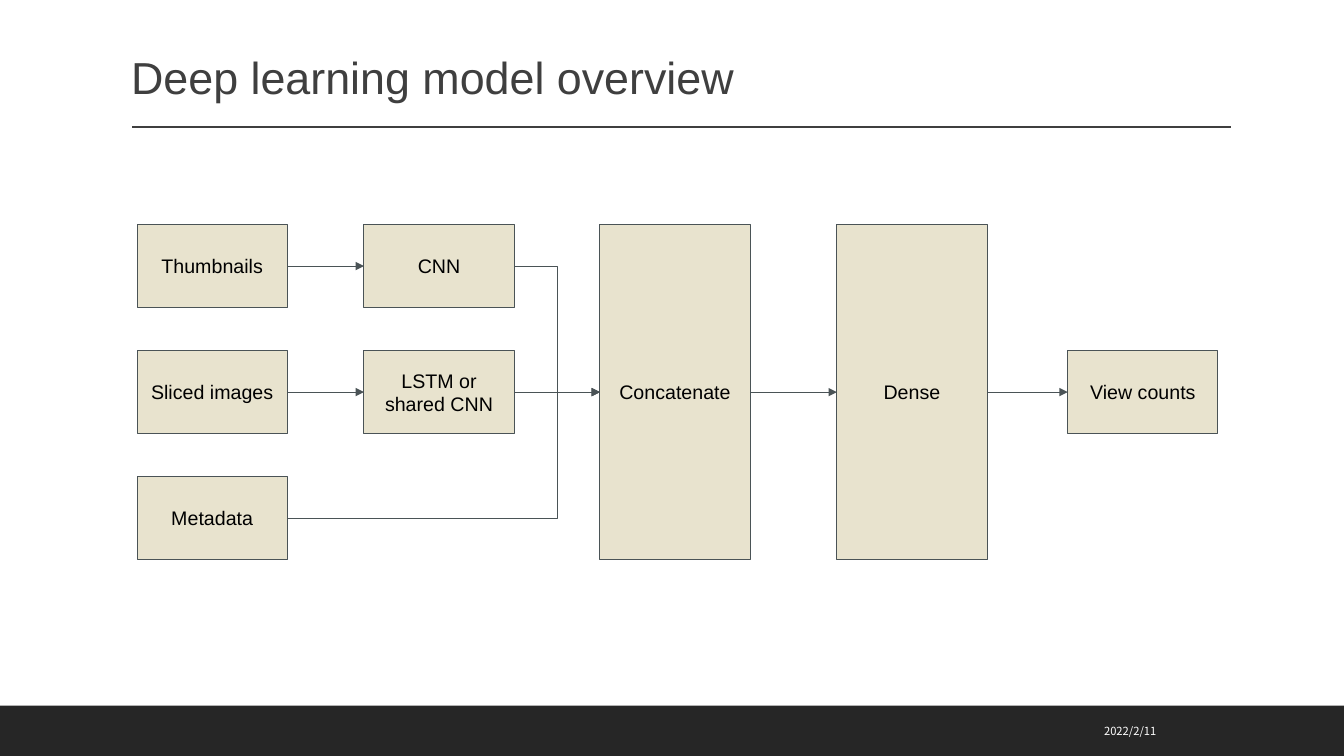
from pptx import Presentation
from pptx import util as u
from pptx.dml.color import RGBColor
from pptx.enum import shapes, text
from pptx.oxml import parse_xml
from pptx.oxml.ns import nsdecls, qn

PX = 9144  # EMU in one px, 100 px to the inch
WHITE = RGBColor(0xFF, 0xFF, 0xFF)
BLACK = RGBColor(0, 0, 0)
CHARCOAL = RGBColor(0x26, 0x26, 0x26)
GRAY = RGBColor(0x3F, 0x3F, 0x3F)
SLATE = RGBColor(0x4A, 0x53, 0x56)
SAND = RGBColor(0xE8, 0xE3, 0xCE)


def write(shape, words, size, font, color, align, anchor, inset=5):
    frame = shape.text_frame
    frame.word_wrap = True
    frame.auto_size = text.MSO_AUTO_SIZE.NONE
    frame.vertical_anchor = anchor
    frame.margin_left = frame.margin_right = 10 * PX
    frame.margin_top = frame.margin_bottom = inset * PX
    paragraph = frame.paragraphs[0]
    paragraph.alignment = align
    run = paragraph.add_run()
    run.text = words
    run.font.size = u.Pt(size)
    run.font.name = font
    run.font.color.rgb = color
    run._r.get_or_add_rPr().append(
        parse_xml(f'<a:ea {nsdecls("a")} typeface="{font}"/>'))
    return paragraph


def add_line(kind, points, color, width):
    line = slide.shapes.add_connector(kind, *[value * PX for value in points])
    line.line.color.rgb = color
    line.line.width = u.Pt(width)
    line._element.spPr.append(parse_xml(f'<a:effectLst {nsdecls("a")}/>'))
    return line


presentation = Presentation()
presentation.slide_width = 1333 * PX
presentation.slide_height = 750 * PX
slide = presentation.slides.add_slide(presentation.slide_layouts[5])

# Footer band and title rule
band = slide.shapes.add_shape(
    shapes.MSO_SHAPE.RECTANGLE, 0, 700 * PX, 1333 * PX, 50 * PX)
band.shadow.inherit = False
band.fill.solid()
band.fill.fore_color.rgb = CHARCOAL
band.line.fill.background()
add_line(shapes.MSO_CONNECTOR.STRAIGHT, (131, 126, 1221, 126), GRAY, 1)

# Date
date = slide.shapes.add_textbox(874 * PX, 705 * PX, 283 * PX, 40 * PX)
write(date, "2022/2/11", 8, "Noto Sans CJK JP", WHITE,
      text.PP_ALIGN.RIGHT, text.MSO_ANCHOR.MIDDLE)

# Title
title = slide.shapes.title
title.left, title.top, title.width, title.height = (
    120 * PX, 31 * PX, 1100 * PX, 77 * PX)
heading = write(title, "Deep learning model overview", 32, "Arial", GRAY,
                text.PP_ALIGN.LEFT, text.MSO_ANCHOR.BOTTOM)
heading.line_spacing = 0.9

# Model blocks: label, left, row, rows spanned
BOX_WIDTH, BOX_HEIGHT, ROW_TOP, ROW_STEP = 149, 82, 223, 125
BLOCKS = [
    ("Thumbnails", 136, 0, 1),
    ("Sliced images", 136, 1, 1),
    ("Metadata", 136, 2, 1),
    ("CNN", 361, 0, 1),
    ("LSTM or shared CNN", 361, 1, 1),
    ("Concatenate", 595, 0, 3),
    ("Dense", 830, 0, 3),
    ("View counts", 1059, 1, 1),
]
edges = {}  # label: left, right, middle height
for label, left, row, rows in BLOCKS:
    top = ROW_TOP + row * ROW_STEP
    height = BOX_HEIGHT + (rows - 1) * ROW_STEP
    box = slide.shapes.add_shape(
        shapes.MSO_SHAPE.RECTANGLE,
        left * PX, top * PX, BOX_WIDTH * PX, height * PX)
    box.shadow.inherit = False
    box.fill.solid()
    box.fill.fore_color.rgb = SAND
    box.line.color.rgb = SLATE
    box.line.width = u.Pt(0.75)
    write(box, label, 14, "Arial", BLACK,
          text.PP_ALIGN.CENTER, text.MSO_ANCHOR.MIDDLE, 10)
    edges[label] = left, left + BOX_WIDTH, top + height // 2

# Arrows: from, to, place of the bend in thousandths of a percent
ARROWS = [
    ("Sliced images", "LSTM or shared CNN", None),
    ("Thumbnails", "CNN", None),
    ("CNN", "Concatenate", 50000),
    ("Metadata", "Concatenate", 86400),
    ("LSTM or shared CNN", "Concatenate", None),
    ("Concatenate", "Dense", None),
    ("Dense", "View counts", None),
]
for source, target, bend in ARROWS:
    kind = shapes.MSO_CONNECTOR.ELBOW if bend else shapes.MSO_CONNECTOR.STRAIGHT
    points = edges[source][1:] + edges[target][::2]
    arrow = add_line(kind, points, SLATE, 0.75)
    arrow.line._get_or_add_ln().append(
        parse_xml(f'<a:tailEnd {nsdecls("a")} type="triangle"/>'))
    if bend:
        geometry = arrow._element.spPr.find(qn("a:prstGeom"))
        geometry.get_or_add_avLst().append(parse_xml(
            f'<a:gd {nsdecls("a")} name="adj1" fmla="val {bend}"/>'))

presentation.save("out.pptx")
